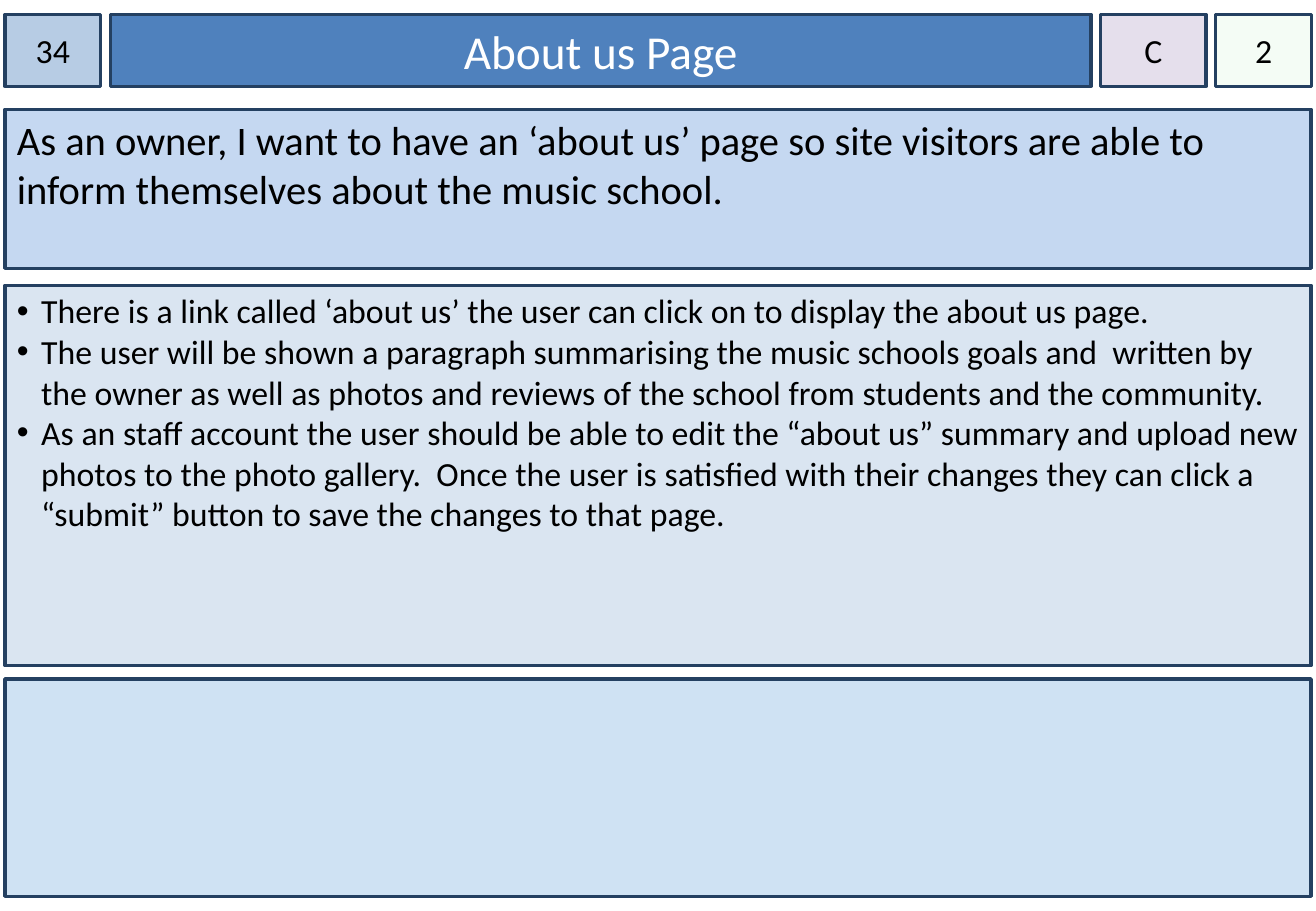
from lxml.etree import SubElement
from pptx import Presentation
from pptx.dml.color import RGBColor
from pptx.enum.shapes import MSO_SHAPE
from pptx.enum.text import MSO_ANCHOR, PP_ALIGN
from pptx.oxml.ns import qn
from pptx.util import Inches, Pt

MARGIN = 0.37
FULL_WIDTH = 100 - 2 * MARGIN
HEADER_GAP = 0.72
HEADER_TOP, HEADER_HEIGHT = 1.6, 7.87


def colour(hex_code):
    return RGBColor.from_string(hex_code)


class StoryCard:
    """A user story slide; lengths are percentages of the slide's size."""

    font_name = "Calibri"
    border = "244061"
    ink = "000000"

    def __init__(self, width, height):
        self.deck = Presentation()
        self.deck.slide_width = Inches(width)
        self.deck.slide_height = Inches(height)
        self.slide = self.deck.slides.add_slide(self.deck.slide_layouts[6])

    def panel(self, left, top, width, height, fill, opacity=100):
        across, down = self.deck.slide_width / 100, self.deck.slide_height / 100
        panel = self.slide.shapes.add_shape(
            MSO_SHAPE.RECTANGLE, round(left * across), round(top * down),
            round(width * across), round(height * down))
        panel.shadow.inherit = False
        panel.fill.solid()
        panel.fill.fore_color.rgb = colour(fill)
        if opacity < 100:
            tint = panel._element.spPr.find(qn("a:solidFill"))[0]
            SubElement(tint, qn("a:alpha")).set("val", str(opacity * 1000))
        panel.line.color.rgb = colour(self.border)
        panel.line.width = Pt(2)
        return panel

    def add_text(self, panel, lines, size, ink=ink, align=PP_ALIGN.LEFT,
                 anchor=MSO_ANCHOR.TOP, side_inset=0.1, top_inset=0.05, bulleted=False):
        frame = panel.text_frame
        frame.word_wrap = True
        frame.vertical_anchor = anchor
        frame.margin_left = frame.margin_right = Inches(side_inset)
        frame.margin_top, frame.margin_bottom = Inches(top_inset), Inches(0.05)
        for index, line in enumerate(lines):
            paragraph = frame.paragraphs[0] if index == 0 else frame.add_paragraph()
            paragraph.text = line
            paragraph.alignment = align
            if bulleted:
                self.bullet(paragraph)
            paragraph.font.name = self.font_name
            paragraph.font.size = Pt(size)
            paragraph.font.color.rgb = colour(ink)

    def bullet(self, paragraph):
        properties = paragraph._p.get_or_add_pPr()
        properties.set("marL", str(Inches(0.2)))
        properties.set("indent", str(-Inches(0.2)))
        bullet_colour = SubElement(properties, qn("a:buClr"))
        SubElement(bullet_colour, qn("a:srgbClr")).set("val", self.ink)
        SubElement(properties, qn("a:buFont")).set("typeface", "Arial")
        SubElement(properties, qn("a:buChar")).set("char", "•")

    def header(self, cells):
        """Lay the header cells from left to right with equal gaps."""
        left = MARGIN
        for text, width, fill, opacity, size, ink, side_inset in cells:
            cell = self.panel(left, HEADER_TOP, width, HEADER_HEIGHT, fill, opacity)
            self.add_text(cell, [text], size, ink, PP_ALIGN.CENTER,
                          MSO_ANCHOR.MIDDLE, side_inset)
            left += width + HEADER_GAP

    def band(self, top, height, fill):
        return self.panel(MARGIN, top, FULL_WIDTH, height, fill)


def main():
    card = StoryCard(10.83, 7.5)
    card.header([
        ("34", 7.29, "B7CCE4", 100, 20, "000000", 0),
        ("About us Page", 74.52, "4F81BD", 100, 28, "FFFFFF", 0.1),
        ("C", 8.03, "E5DFEC", 100, 20, "000000", 0),
        ("2", 7.29, "CCF0CD", 20, 20, "000000", 0),
    ])

    story = card.band(12, 17.47, "C5D8F1")
    card.add_text(story, [
        "As an owner, I want to have an ‘about us’ page so site visitors are able to "
        "inform themselves about the music school.",
    ], 24)

    criteria = card.band(31.33, 41.73, "DAE5F1")
    card.add_text(criteria, [
        "There is a link called ‘about us’ the user can click on to display the "
        "about us page.",
        "The user will be shown a paragraph summarising the music schools goals and  "
        "written by the owner as well as photos and reviews of the school from "
        "students and the community.",
        "As an staff account the user should be able to edit the “about us” summary "
        "and upload new photos to the photo gallery.  Once the user is satisfied with "
        "their changes they can click a “submit” button to save the changes to that page.",
    ], 20, top_inset=0.04, bulleted=True)

    card.band(74.53, 23.87, "CFE2F3")
    card.deck.save("out.pptx")


if __name__ == "__main__":
    main()
